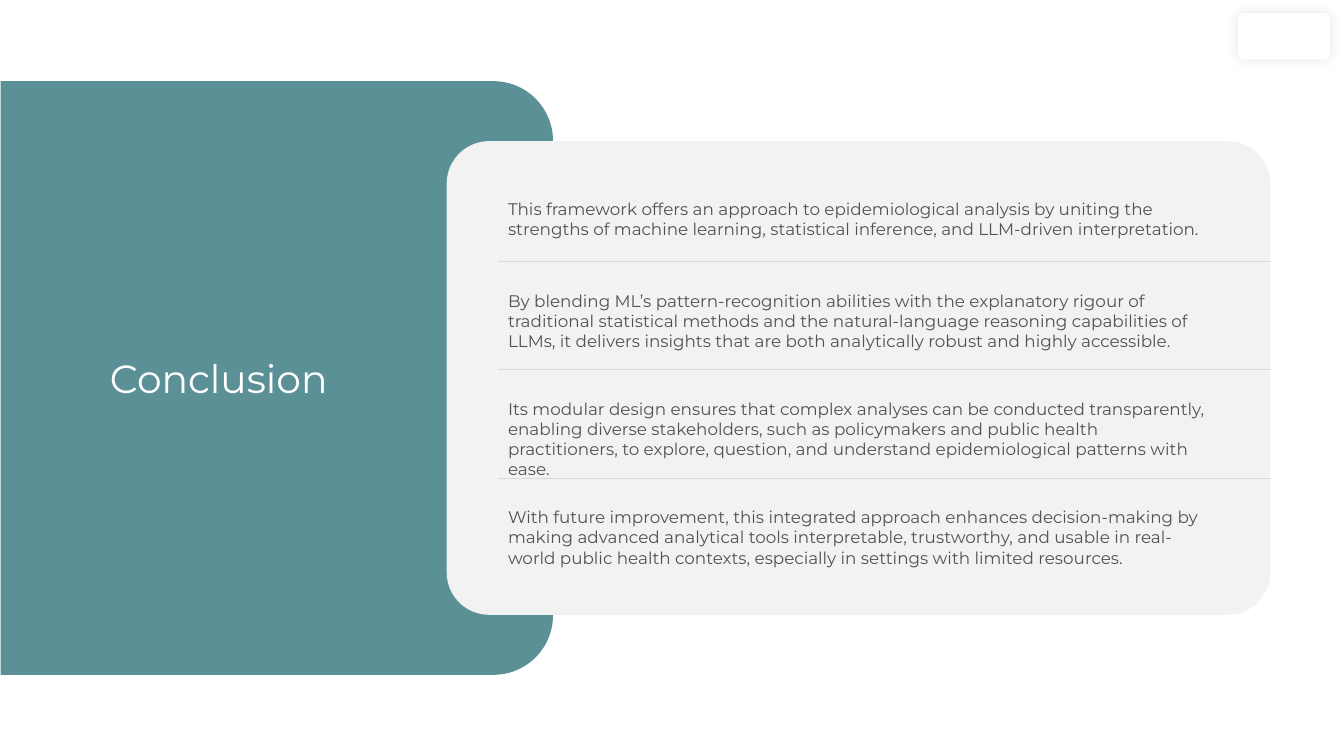
"""Build the conclusion slide: a title panel and a card of four ruled statements."""
from lxml.etree import SubElement
from pptx import Presentation
from pptx.dml.color import RGBColor
from pptx.enum.shapes import MSO_CONNECTOR, MSO_SHAPE
from pptx.enum.text import MSO_ANCHOR, PP_ALIGN
from pptx.oxml import parse_xml
from pptx.oxml.ns import nsdecls, qn
from pptx.util import Inches, Pt

TITLE = "Conclusion"
STATEMENTS = [
    "This framework offers an approach to epidemiological analysis by uniting the strengths of "
    "machine learning, statistical inference, and LLM-driven interpretation.",
    "By blending ML’s pattern-recognition abilities with the explanatory rigour of traditional "
    "statistical methods and the natural-language reasoning capabilities of LLMs, it delivers "
    "insights that are both analytically robust and highly accessible.",
    "Its modular design ensures that complex analyses can be conducted transparently, enabling "
    "diverse stakeholders, such as policymakers and public health practitioners, to explore, "
    "question, and understand epidemiological patterns with ease.",
    "With future improvement, this integrated approach enhances decision-making by making "
    "advanced analytical tools interpretable, trustworthy, and usable in real-world public "
    "health contexts, especially in settings with limited resources.",
]
COLORS = {"panel": "5B9196", "card": "F2F2F2", "white": "FFFFFF",
          "text": "525252", "rule": "D9D9D9"}
FONT = "Montserrat"
TEXT_LEFT, TEXT_WIDTH, RULE_RIGHT = 4.94, 7.15, 12.61
FIRST_TEXT_TOP, FIRST_RULE, RULE_GAP, ROW_PITCH = 1.92, 2.59, 0.24, 2.15 / 2
TEXT_HEIGHTS = [0.5, 0.71, 0.91, 0.71]


def rgb(name):
    return RGBColor.from_string(COLORS[name])


def add_block(slide, kind, box, fill, adjustments):
    sp = slide.shapes.add_shape(kind, *map(Inches, box))
    sp.shadow.inherit = False
    sp.fill.solid()
    sp.fill.fore_color.rgb = rgb(fill)
    sp.line.fill.background()
    for i, value in enumerate(adjustments):
        sp.adjustments[i] = value
    return sp


def write(sp, text, size, color, anchor):
    tf = sp.text_frame
    tf.text = text
    tf.word_wrap = True
    tf.vertical_anchor = anchor
    p = tf.paragraphs[0]
    p.alignment = PP_ALIGN.LEFT
    p.line_spacing = 1.0
    font = p.runs[0].font
    font.name, font.size, font.color.rgb = FONT, Pt(size), rgb(color)


def add_rule(slide, y):
    line = slide.shapes.add_connector(MSO_CONNECTOR.STRAIGHT, Inches(TEXT_LEFT), Inches(y),
                                      Inches(RULE_RIGHT), Inches(y))
    line.line.color.rgb = rgb("rule")
    line.line.width = Pt(0.25)
    SubElement(line._element.spPr, qn("a:effectLst"))


def add_soft_shadow(sp):
    effects = sp._element.spPr.find(qn("a:effectLst"))
    effects.append(parse_xml(
        f'<a:outerShdw {nsdecls("a")} blurRad="{Pt(9)}" dist="0" dir="0" algn="ctr" '
        'rotWithShape="0"><a:srgbClr val="000000"><a:alpha val="11000"/></a:srgbClr>'
        '</a:outerShdw>'))


def main():
    prs = Presentation()
    prs.slide_width, prs.slide_height = Inches(13.33), Inches(7.5)
    slide = prs.slides.add_slide(prs.slide_layouts[5])

    panel = add_block(slide, MSO_SHAPE.ROUND_2_SAME_RECTANGLE, (-0.2, 1.01, 5.89, 5.48),
                      "panel", (0.108, 0))
    panel.rotation = 90
    badge = add_block(slide, MSO_SHAPE.ROUNDED_RECTANGLE, (12.28, 0.13, 0.91, 0.46),
                      "white", (0.096,))
    add_soft_shadow(badge)

    title = slide.shapes.title
    title.left, title.top, title.width, title.height = map(Inches, (0.99, 3.46, 3.28, 0.57))
    write(title, TITLE, 28, "white", MSO_ANCHOR.MIDDLE)
    badge._element.addnext(title._element)

    add_block(slide, MSO_SHAPE.ROUNDED_RECTANGLE, (4.43, 1.4, 8.17, 4.7), "card", (0.09,))

    top = FIRST_TEXT_TOP
    for i, (statement, height) in enumerate(zip(STATEMENTS, TEXT_HEIGHTS)):
        box = slide.shapes.add_textbox(*map(Inches, (TEXT_LEFT, top, TEXT_WIDTH, height)))
        write(box, statement, 12, "text", MSO_ANCHOR.TOP)
        if i < len(STATEMENTS) - 1:
            rule = FIRST_RULE + i * ROW_PITCH
            add_rule(slide, rule)
            top = rule + RULE_GAP

    prs.save("out.pptx")


if __name__ == "__main__":
    main()
